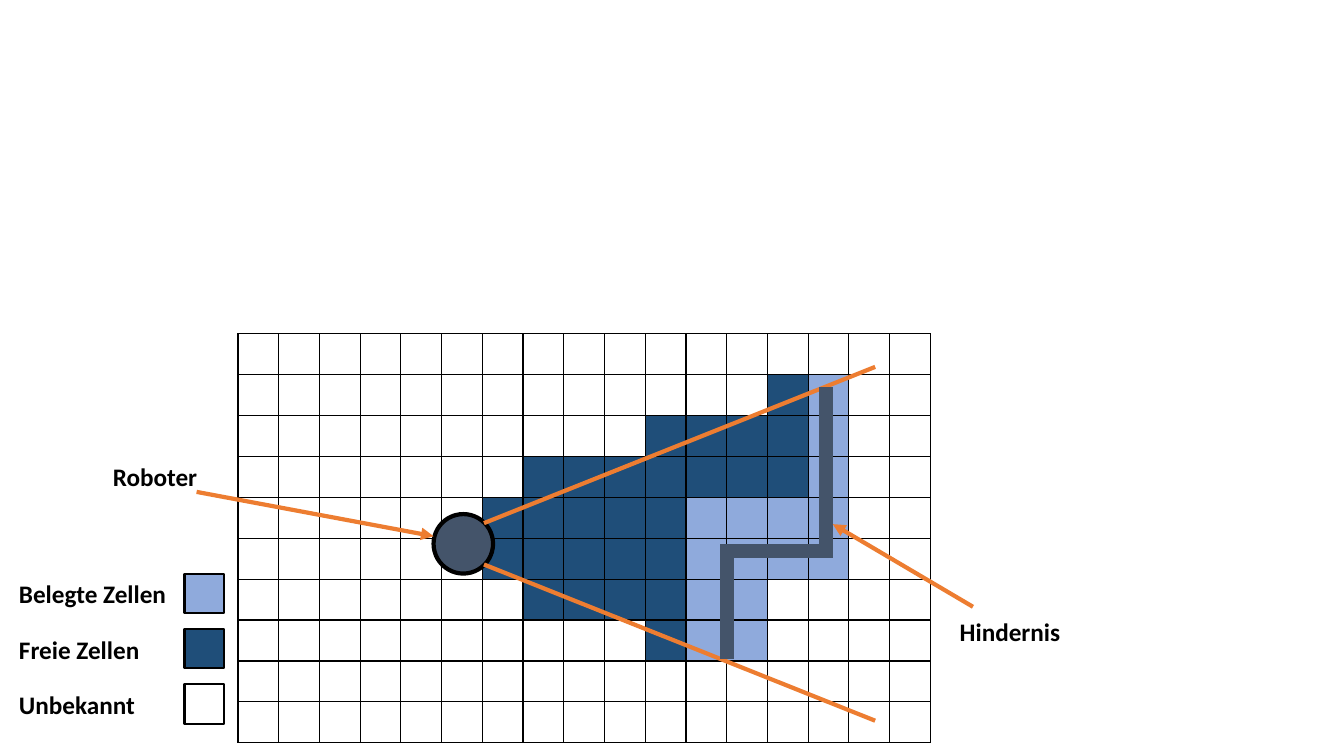
from pptx import Presentation
from pptx.dml.color import RGBColor
from pptx.enum.shapes import MSO_CONNECTOR, MSO_SHAPE
from pptx.oxml.ns import qn
from pptx.util import Inches, Pt
from lxml.etree import SubElement

BLACK, ORANGE, SLATE = "000000", "ED7D31", "44546A"
UNKNOWN, FREE, OCCUPIED = "FFFFFF", "1F4E79", "8FAADC"
CELL_COLOURS = {".": UNKNOWN, "F": FREE, "B": OCCUPIED}
OCCUPANCY = [
    ".................",
    ".............FB..",
    "..........FFFFB..",
    ".......FFFFFFFB..",
    "......FFFFFBBBB..",
    "......FFFFFBBBB..",
    ".......FFFFBB....",
    "..........FBB....",
    ".................",
    ".................",
]


def colour(value):
    return RGBColor.from_string(value)


def add_label(slide, left, top, width, wording):
    label = slide.shapes.add_textbox(Inches(left), Inches(top), Inches(width), Inches(0.4))
    label.text_frame.word_wrap = True
    label.text_frame.text = wording
    font = label.text_frame.paragraphs[0].runs[0].font
    font.name, font.size, font.bold = "Calibri", Pt(18), True
    font.color.rgb = colour(BLACK)


def add_outlined(slide, kind, left, top, size, fill, weight):
    outlined = slide.shapes.add_shape(kind, Inches(left), Inches(top), Inches(size), Inches(size))
    outlined.shadow.inherit = False
    outlined.fill.solid()
    outlined.fill.fore_color.rgb = colour(fill)
    outlined.line.color.rgb = colour(BLACK)
    outlined.line.width = Pt(weight)


def add_stroke(slide, box, start, end, stroke_colour, weight, arrow=False):
    left, top = box[:2]
    stroke = slide.shapes.add_connector(
        MSO_CONNECTOR.STRAIGHT,
        Inches(left + start[0]), Inches(top + start[1]),
        Inches(left + end[0]), Inches(top + end[1]))
    stroke.line.color.rgb = colour(stroke_colour)
    stroke.line.width = Pt(weight)
    if arrow:
        SubElement(stroke.line._get_or_add_ln(), qn("a:tailEnd"), type="triangle")
    SubElement(stroke._element.spPr, qn("a:effectLst"))


def add_cell_borders(cell):
    properties = cell._tc.get_or_add_tcPr()
    for side in ("lnL", "lnR", "lnT", "lnB"):
        border = SubElement(properties, qn(f"a:{side}"), w=str(Pt(1)))
        SubElement(SubElement(border, qn("a:solidFill")), qn("a:srgbClr"), val=BLACK)


def draw_grid(slide, box):
    left, top, width, height = map(Inches, box)
    row_count, column_count = len(OCCUPANCY), len(OCCUPANCY[0])
    grid = slide.shapes.add_table(row_count, column_count, left, top, width, height).table
    grid.first_row = grid.horz_banding = False
    for row, states in enumerate(OCCUPANCY):
        for column, state in enumerate(states):
            cell = grid.cell(row, column)
            cell.margin_top = cell.margin_bottom = 0
            add_cell_borders(cell)
            cell.fill.solid()
            cell.fill.fore_color.rgb = colour(CELL_COLOURS[state])


def draw_robot(slide, box):
    left, top = box[:2]
    add_outlined(slide, MSO_SHAPE.OVAL, left + 1.94, top + 1.79, 0.59, SLATE, 3)
    add_stroke(slide, box, (-0.41, 1.57), (1.94, 2.01), ORANGE, 3, arrow=True)
    for beam_start, beam_end in ((1.88, 0.33), (2.29, 3.84)):
        add_stroke(slide, box, (2.44, beam_start), (6.32, beam_end), ORANGE, 3)
    add_label(slide, left - 1.34, top + 1.22, 1.35, "Roboter")


def draw_obstacle(slide, box):
    left, top = box[:2]
    walls = [((5.83, 0.53), (5.83, 2.16)),
             ((4.85, 2.16), (4.85, 3.23)),
             ((5.9, 2.16), (4.78, 2.16))]
    for start, end in walls:
        add_stroke(slide, box, start, end, SLATE, 10)
    add_stroke(slide, box, (7.29, 2.71), (5.9, 1.89), ORANGE, 3, arrow=True)
    add_label(slide, left + 7.06, top + 2.76, 1.35, "Hindernis")


def draw_legend(slide, box):
    left, top, width, height = box
    entries = [("Belegte Zellen", OCCUPIED), ("Freie Zellen", FREE), ("Unbekannt", UNKNOWN)]
    swatch = 0.39
    pitch = (height - swatch) / (len(entries) - 1)
    for index, (wording, fill) in enumerate(entries):
        entry_top = top + index * pitch
        add_label(slide, left, entry_top, width, wording)
        add_outlined(slide, MSO_SHAPE.RECTANGLE, left + width - swatch, entry_top, swatch, fill, 1.5)


presentation = Presentation()
presentation.slide_width = Inches(13.33)
presentation.slide_height = Inches(7.5)
occupancy_slide = presentation.slides.add_slide(presentation.slide_layouts[6])
grid_box = (2.36, 3.31, 6.87, 4.06)
draw_grid(occupancy_slide, grid_box)
draw_robot(occupancy_slide, grid_box)
draw_obstacle(occupancy_slide, grid_box)
draw_legend(occupancy_slide, (0.09, 5.69, 2.13, 1.49))
presentation.save("out.pptx")
